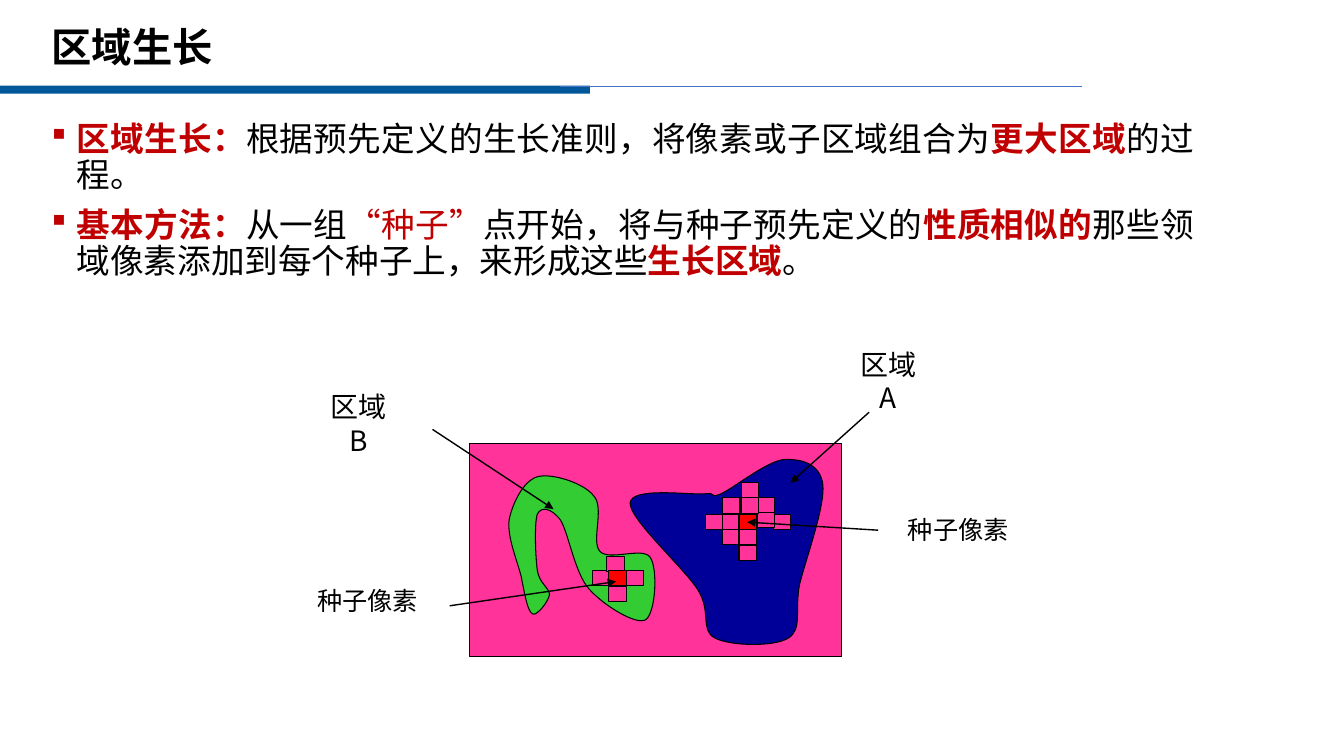
from lxml import etree
from pptx import Presentation
from pptx.dml.color import RGBColor
from pptx.enum.lang import MSO_LANGUAGE_ID
from pptx.enum.shapes import MSO_CONNECTOR, MSO_SHAPE
from pptx.enum.text import MSO_ANCHOR, MSO_AUTO_SIZE, PP_ALIGN
from pptx.oxml.ns import qn
from pptx.util import Pt

RECTANGLE = MSO_SHAPE.RECTANGLE
STRAIGHT = MSO_CONNECTOR.STRAIGHT
MIDDLE = MSO_ANCHOR.MIDDLE
NO_FIT = MSO_AUTO_SIZE.NONE
LEFT, CENTER, JUSTIFY = PP_ALIGN.LEFT, PP_ALIGN.CENTER, PP_ALIGN.JUSTIFY
CHINESE = MSO_LANGUAGE_ID.SIMPLIFIED_CHINESE

EMU_PER_PX = 9144
FONT = "Noto Sans CJK SC"
BULLET_FONT, BULLET = "Wingdings", "§"
BLACK, CRIMSON, RED = "000000", "C00000", "FF0000"
PINK, GREEN, NAVY = "FF3399", "33CC33", "000099"
BAR_BLUE, RULE_BLUE = "00579A", "4472C4"

PLAIN = {"bold": False, "color": BLACK}
STRONG = {"bold": True, "color": CRIMSON}
TINTED = {"bold": False, "color": CRIMSON}

POINTS = [
    [("区域生长：", STRONG), ("根据预先定义的生长准则，将像素或子区域组合为", PLAIN),
     ("更大区域", STRONG), ("的过程。", PLAIN)],
    [("基本方法：", STRONG), ("从一组", PLAIN), ("“种子”", TINTED),
     ("点开始，将与种子预先定义的", PLAIN), ("性质相似的", STRONG),
     ("那些领域像素添加到每个种子上，来形成这些", PLAIN),
     ("生长区域", STRONG), ("。", PLAIN)],
]

REGION_B = [
    (517, 572), (513, 556), (503, 533), (505, 516), (508, 500), (519, 477), (533, 473),
    (547, 469), (579, 479), (589, 492), (600, 504), (586, 537), (595, 547),
    (604, 557), (638, 542), (645, 553), (653, 565), (650, 610), (640, 615),
    (630, 620), (598, 600), (584, 584), (570, 568), (564, 529), (556, 516),
    (547, 504), (537, 502), (533, 510), (530, 518), (531, 552), (533, 566),
    (535, 579), (545, 583), (545, 590), (544, 597), (532, 612), (528, 609),
    (523, 606), (520, 587), (517, 572),
]
REGION_A = [
    (698, 490), (683, 491), (626, 483), (625, 499), (624, 515), (678, 563), (692, 585),
    (706, 607), (694, 625), (709, 633), (724, 641), (768, 642), (782, 633),
    (796, 624), (788, 606), (793, 580), (799, 555), (819, 501), (816, 480),
    (813, 459), (793, 455), (777, 456), (760, 458), (728, 484), (715, 490),
    (702, 495), (713, 488), (698, 490),
]

CELL_SIZE = (17, 15)
SEED_B, SEED_A = (604, 566), (733, 510)
NEIGHBOURS_B = [(588, 566), (604, 582), (621, 566), (602, 552)]
NEIGHBOURS_A = [(717, 510), (700, 510), (717, 525), (733, 525), (717, 494),
                (767, 510), (735, 479), (751, 494), (751, 508), (735, 494), (733, 541)]

LABELS = [
    ((829, 356, 104, 44), "区域A", 20, 20),
    ((305, 398, 102, 44), "区域B", 20, 20),
    ((886, 503, 129, 44), "种子像素", 18, 10),
    ((300, 574, 129, 44), "种子像素", 18, 10),
]
ARROWS = [((429, 426), (549, 505)), ((862, 409), (784, 479)),
          ((871, 526), (741, 518)), ((446, 601), (611, 577))]


def px(length):
    """Turn pixels into EMU."""
    return round(length * EMU_PER_PX)


def rgb(value):
    """Turn a hex string into a colour."""
    return RGBColor.from_string(value)


def apply(target, values):
    """Set every attribute named in the values."""
    for name, value in values.items():
        setattr(target, name, value)


def bend(shape):
    """Turn each three straight segments of an outline into one cubic curve."""
    segments = list(shape._element.iter(qn("a:lnTo")))
    for start in range(0, len(segments), 3):
        first, *others = segments[start:start + 3]
        curve = etree.Element(qn("a:cubicBezTo"))
        first.addprevious(curve)
        for segment in (first, *others):
            curve.append(segment[0])
            segment.getparent().remove(segment)


class Painter:
    """Draws styled elements on the current slide."""

    def __init__(self, page):
        """Keep the slide to draw on."""
        self.page = page

    def paint(self, shape, fill, line=None):
        """Give a shape its fill and outline."""
        shape.shadow.inherit = False
        shape.fill.solid()
        shape.fill.fore_color.rgb = rgb(fill)
        if line:
            shape.line.color.rgb = rgb(line)
            shape.line.width = Pt(0.75)
        else:
            shape.line.fill.background()

    def rectangle(self, place, fill, line=None):
        """Draw a rectangle."""
        box = self.page.shapes.add_shape(RECTANGLE, *map(px, place))
        self.paint(box, fill, line)

    def region(self, nodes, fill):
        """Draw a closed curved outline."""
        builder = self.page.shapes.build_freeform(*nodes[0], scale=EMU_PER_PX)
        builder.add_line_segments(nodes[1:], close=False)
        shape = builder.convert_to_shape()
        bend(shape)
        for outline in shape._element.iter(qn("a:path")):
            etree.SubElement(outline, qn("a:close"))
        self.paint(shape, fill, BLACK)

    def line(self, start, end, color, arrow=False):
        """Draw a straight line, with an arrowhead if wanted."""
        line = self.page.shapes.add_connector(STRAIGHT, *map(px, start + end))
        line.line.color.rgb = rgb(color)
        line.line.width = Pt(1)
        if arrow:
            etree.SubElement(line.line._get_or_add_ln(), qn("a:tailEnd"), type="triangle")
        etree.SubElement(line._element.spPr, qn("a:effectLst"))

    def style(self, span, size, color=BLACK, bold=False):
        """Format one run of text."""
        apply(span.font, {"name": FONT, "size": Pt(size), "bold": bold, "language_id": CHINESE})
        span.font.color.rgb = rgb(color)
        etree.SubElement(span.font._element, qn("a:ea"), typeface=FONT)

    def place(self, box, place):
        """Move and resize a placeholder."""
        apply(box, dict(zip(("left", "top", "width", "height"), map(px, place))))

    def title(self, place, text):
        """Fill the title placeholder."""
        box = self.page.shapes.title
        self.place(box, place)
        apply(box.text_frame, {"text": text, "vertical_anchor": MIDDLE, "auto_size": NO_FIT})
        para = box.text_frame.paragraphs[0]
        apply(para, {"alignment": LEFT, "line_spacing": 0.9})
        self.style(para.runs[0], 28.8, bold=True)

    def bullets(self, place, points):
        """Fill the body placeholder with a bulleted list."""
        box = self.page.placeholders[1]
        self.place(box, place)
        frame = box.text_frame
        frame.auto_size = NO_FIT
        for index, spans in enumerate(points):
            para = frame.add_paragraph() if index else frame.paragraphs[0]
            apply(para, {"alignment": JUSTIFY, "line_spacing": 0.9, "space_before": Pt(10)})
            properties = para._p.get_or_add_pPr()
            properties.set("marL", str(px(25)))
            properties.set("indent", str(px(-25)))
            etree.SubElement(properties, qn("a:buFont"), typeface=BULLET_FONT, charset="2")
            etree.SubElement(properties, qn("a:buChar"), char=BULLET)
            for text, look in spans:
                span = para.add_run()
                span.text = text
                self.style(span, 24, **look)

    def label(self, place, text, size, margin):
        """Write a centred label that wraps between its side margins."""
        frame = self.page.shapes.add_textbox(*map(px, place)).text_frame
        apply(frame, {"text": text, "word_wrap": True, "vertical_anchor": MIDDLE,
                      "margin_left": px(margin), "margin_right": px(margin)})
        para = frame.paragraphs[0]
        para.alignment = CENTER
        self.style(para.runs[0], size)


def main():
    """Build the slide and save it."""
    deck = Presentation()
    apply(deck, {"slide_width": px(1333), "slide_height": px(750)})
    painter = Painter(deck.slides.add_slide(deck.slide_layouts[1]))
    painter.rectangle((0, 85, 585, 8), BAR_BLUE)
    painter.line((555, 86), (1073, 86), RULE_BLUE)
    painter.title((41, 22, 1244, 54), "区域生长")
    painter.bullets((41, 116, 1153, 250), POINTS)
    painter.rectangle((466, 440, 369, 211), PINK, BLACK)
    painter.region(REGION_B, GREEN)
    painter.region(REGION_A, NAVY)
    for corner in NEIGHBOURS_B + NEIGHBOURS_A:
        painter.rectangle(corner + CELL_SIZE, PINK, BLACK)
    for corner in (SEED_B, SEED_A):
        painter.rectangle(corner + CELL_SIZE, RED, BLACK)
    for place, text, size, margin in LABELS:
        painter.label(place, text, size, margin)
    for start, end in ARROWS:
        painter.line(start, end, BLACK, arrow=True)
    deck.save("out.pptx")


if __name__ == "__main__":
    main()
